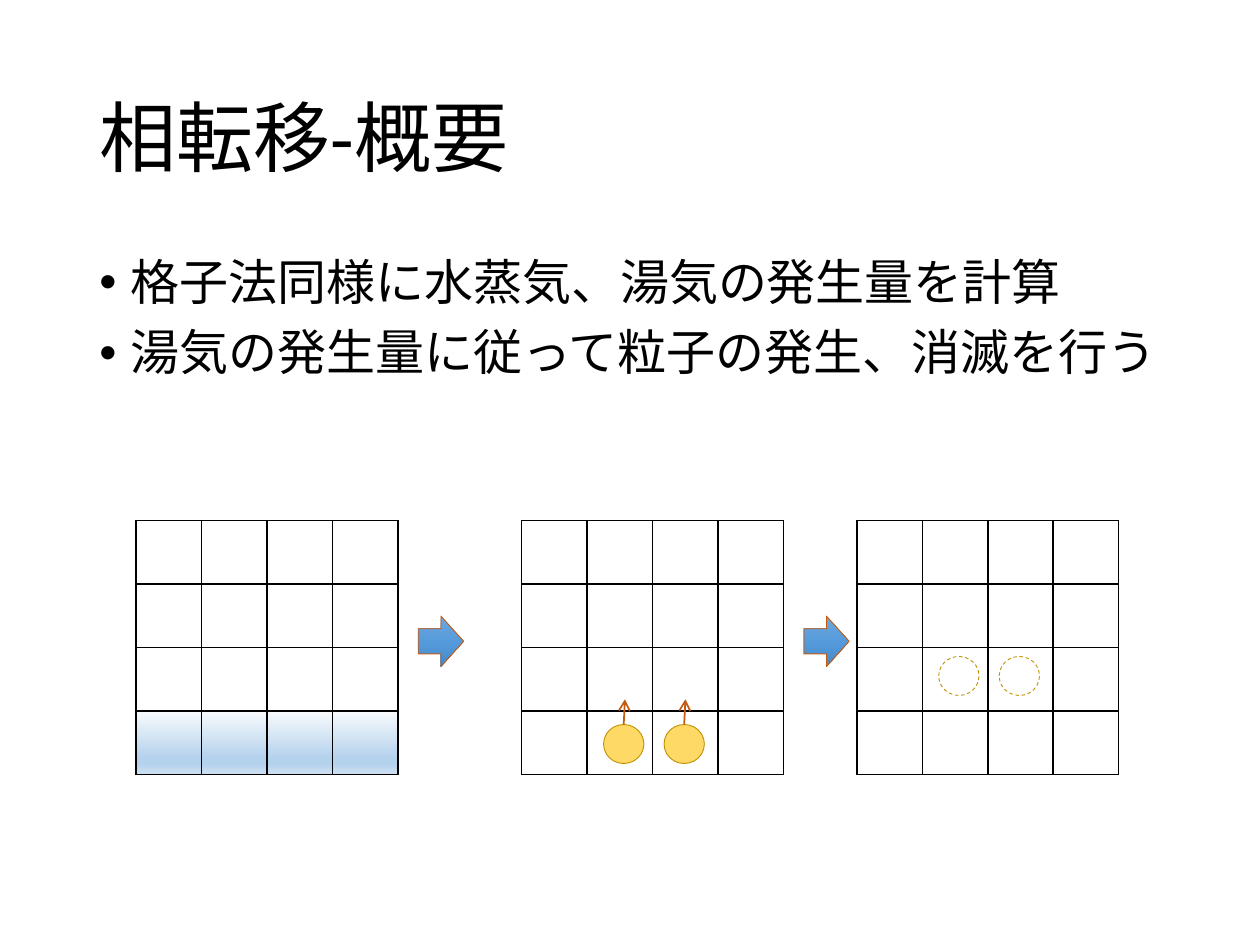
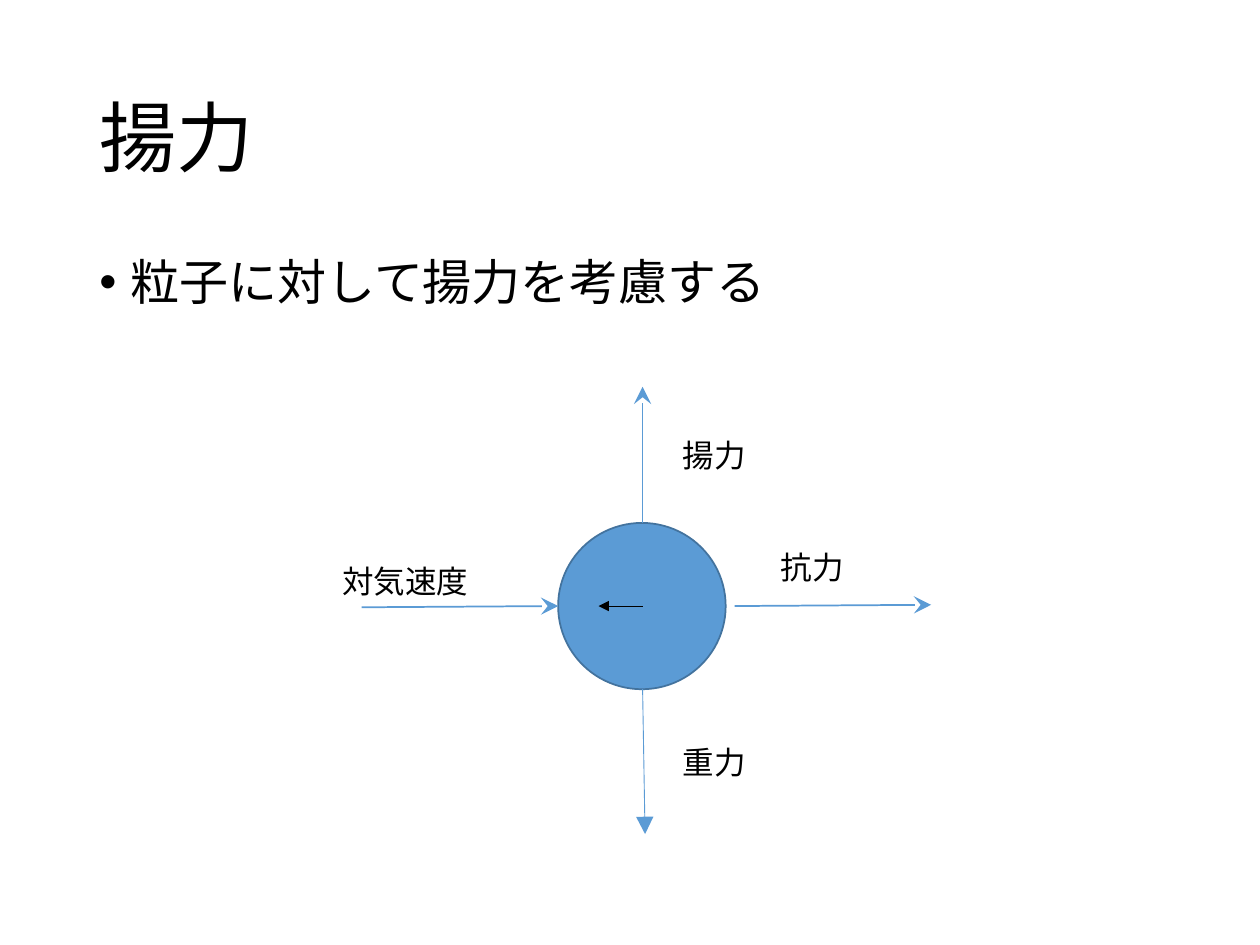
from lxml import etree
from pptx import Presentation
from pptx import util as u
from pptx.dml.color import RGBColor
from pptx.enum import dml, lang, shapes, text
from pptx.oxml import ns

COLORS = {
    "ink": "000000", "paper": "FFFFFF",
    "ball": "5B9BD5", "ball_edge": "43739E",
    "drop": "FFD966", "drop_edge": "BF9000", "rust": "C55A11",
}
WATER = [(0, "F7FAFD"), (74, "B5D2EC"), (83, "B5D2EC"), (100, "CEE1F2")]
STEP = [(0, "71A6DB"), (50, "559BDB"), (100, "448ACA")]
FONT = "Calibri"
GRID_TOP, GRID_COUNT, CELL_W, CELL_H = 4.13, 4, 0.52, 0.505
DROP_W, DROP_H, DROP_GAP = 0.32, 0.31, 0.48


def rgb(name):
    """Return the palette colour with this name."""
    return RGBColor.from_string(COLORS[name])


def add_node(parent, tag, **attributes):
    """Append a drawing element to its parent."""
    return etree.SubElement(parent, ns.qn(tag), attributes)


def set_gradient(fill, parent, stops):
    """Give a shape or cell a gradient that runs from top to bottom."""
    fill.background()
    gradient = etree.Element(ns.qn("a:gradFill"), rotWithShape="1")
    stop_list = add_node(gradient, "a:gsLst")
    for percent, color in stops:
        stop = add_node(stop_list, "a:gs", pos=str(percent * 1000))
        add_node(stop, "a:srgbClr", val=color)
    add_node(gradient, "a:lin", ang="5400000", scaled="0")
    parent.replace(parent.find(ns.qn("a:noFill")), gradient)


def set_borders(cell):
    """Draw a thin black border on all sides of a cell."""
    properties = cell._tc.get_or_add_tcPr()
    for index, side in enumerate("LRTB"):
        line = etree.Element(ns.qn(f"a:ln{side}"), w=str(u.Pt(1)))
        fill = add_node(line, "a:solidFill")
        add_node(fill, "a:srgbClr", val=COLORS["ink"])
        properties.insert(index, line)


class Page:
    """Holds the deck style and the current slide."""

    def __init__(self, deck):
        """Add a blank slide to the deck."""
        self.shapes = deck.slides.add_slide(deck.slide_layouts[6]).shapes

    def text_box(self, left, top, width, height, lines, size,
                 anchor=text.MSO_ANCHOR.TOP, spacing=1.0, bullets=False):
        """Add a text box with one paragraph for each line."""
        box = self.shapes.add_textbox(*map(u.Inches, (left, top, width, height)))
        frame = box.text_frame
        frame.word_wrap = True
        frame.vertical_anchor = anchor
        for index, line in enumerate(lines):
            para = frame.add_paragraph() if index else frame.paragraphs[0]
            para.line_spacing = spacing
            if bullets:
                para.space_before = u.Pt(10)
                properties = para._p.get_or_add_pPr()
                properties.set("marL", str(u.Inches(0.25)))
                properties.set("indent", str(u.Inches(-0.25)))
                add_node(properties, "a:buFont", typeface="Arial")
                add_node(properties, "a:buChar", char="•")
            span = para.add_run()
            span.text = line
            span.font.name = FONT
            span.font.size = u.Pt(size)
            span.font.color.rgb = rgb("ink")
            span.font.language_id = lang.MSO_LANGUAGE_ID.JAPANESE

    def title(self, words):
        """Add the slide title."""
        self.text_box(0.69, 0.4, 8.62, 1.45, [words], 44,
                      anchor=text.MSO_ANCHOR.MIDDLE, spacing=0.9)

    def bullets(self, lines):
        """Add the bulleted body text."""
        self.text_box(0.69, 2, 8.62, 4.76, lines, 28, spacing=0.9, bullets=True)

    def label(self, left, top, words, width=1.53):
        """Add a small label."""
        self.text_box(left, top, width, 0.4, [words], 18)

    def grid(self, left, water=False):
        """Add a square grid, with water in the bottom row if asked."""
        size = (CELL_W * GRID_COUNT, CELL_H * GRID_COUNT)
        table = self.shapes.add_table(
            GRID_COUNT, GRID_COUNT, *map(u.Inches, (left, GRID_TOP, *size))).table
        table.first_row = table.horz_banding = False
        for column in table.columns:
            column.width = u.Inches(CELL_W)
        for index, row in enumerate(table.rows):
            row.height = u.Inches(CELL_H)
            for cell in row.cells:
                if water and index == GRID_COUNT - 1:
                    set_gradient(cell.fill, cell._tc.get_or_add_tcPr(), WATER)
                else:
                    cell.fill.solid()
                    cell.fill.fore_color.rgb = rgb("paper")
                set_borders(cell)

    def shape(self, kind, left, top, width, height, edge, weight, fill=None):
        """Add a preset shape, hollow unless a fill is named."""
        item = self.shapes.add_shape(kind, *map(u.Inches, (left, top, width, height)))
        item.shadow.inherit = False
        item.line.color.rgb = rgb(edge)
        item.line.width = u.Pt(weight)
        if fill:
            item.fill.solid()
            item.fill.fore_color.rgb = rgb(fill)
        else:
            item.fill.background()
        return item

    def step_arrow(self, left):
        """Add a block arrow that leads to the next grid."""
        arrow = self.shape(shapes.MSO_SHAPE.RIGHT_ARROW, left, 4.89, 0.36, 0.4,
                           "rust", 0.5)
        set_gradient(arrow.fill, arrow._element.spPr, STEP)

    def circle(self, left, top, width, height, edge, weight, fill=None):
        """Add an ellipse, dashed when it is hollow."""
        item = self.shape(shapes.MSO_SHAPE.OVAL, left, top, width, height,
                          edge, weight, fill)
        if not fill:
            item.line.dash_style = dml.MSO_LINE.DASH

    def arrow(self, start, end, color, weight, head, size="med"):
        """Add a straight line with an arrowhead at its end."""
        line = self.shapes.add_connector(
            shapes.MSO_CONNECTOR.STRAIGHT, *map(u.Inches, (*start, *end)))
        line.line.color.rgb = rgb(color)
        line.line.width = u.Pt(weight)
        add_node(line.line._get_or_add_ln(), "a:tailEnd", type=head, w=size, len=size)
        add_node(line._element.spPr, "a:effectLst")


def build_phase_change(deck):
    """Build the slide on how particles appear and vanish."""
    page = Page(deck)
    page.title("相転移-概要")
    page.bullets(["格子法同様に水蒸気、湯気の発生量を計算",
                  "湯気の発生量に従って粒子の発生、消滅を行う"])
    page.grid(1.08, water=True)
    page.step_arrow(3.32)
    page.grid(4.14)
    page.step_arrow(6.38)
    page.grid(6.8)
    for index in range(2):
        shift = index * DROP_GAP
        page.circle(7.45 + shift, 5.21, DROP_W, DROP_H, "drop_edge", 0.5)
        left, top = 4.79 + shift, 5.75
        page.circle(left, top, DROP_W, DROP_H, "drop_edge", 0.5, "drop")
        middle = left + DROP_W / 2
        page.arrow((middle, top), (middle + 0.01, top - 0.2), "rust", 1, "arrow")


def build_lift(deck):
    """Build the slide on the forces on one particle."""
    page = Page(deck)
    page.title("揚力")
    page.bullets(["粒子に対して揚力を考慮する"])
    page.circle(4.43, 4.15, 1.33, 1.32, "ball_edge", 1, "ball")
    for start, end, weight, head in (
            ((5.1, 5.47), (5.12, 6.62), 0.5, "triangle"),
            ((2.87, 4.82), (4.43, 4.81), 1, "stealth"),
            ((5.1, 4.15), (5.1, 3.07), 1, "stealth"),
            ((5.83, 4.81), (7.39, 4.8), 1, "stealth")):
        page.arrow(start, end, "ball", weight, head, "lg")
    page.arrow((5.1, 4.81), (4.75, 4.81), "ink", 0.5, "triangle")
    page.label(5.32, 5.85, "重力", width=1.05)
    page.label(2.62, 4.41, "対気速度")
    page.label(5.32, 3.41, "揚力")
    page.label(6.1, 4.3, "抗力")


def main():
    """Build and save the deck."""
    deck = Presentation()
    deck.slide_width, deck.slide_height = u.Inches(10), u.Inches(7.5)
    build_phase_change(deck)
    build_lift(deck)
    deck.save("out.pptx")


main()
